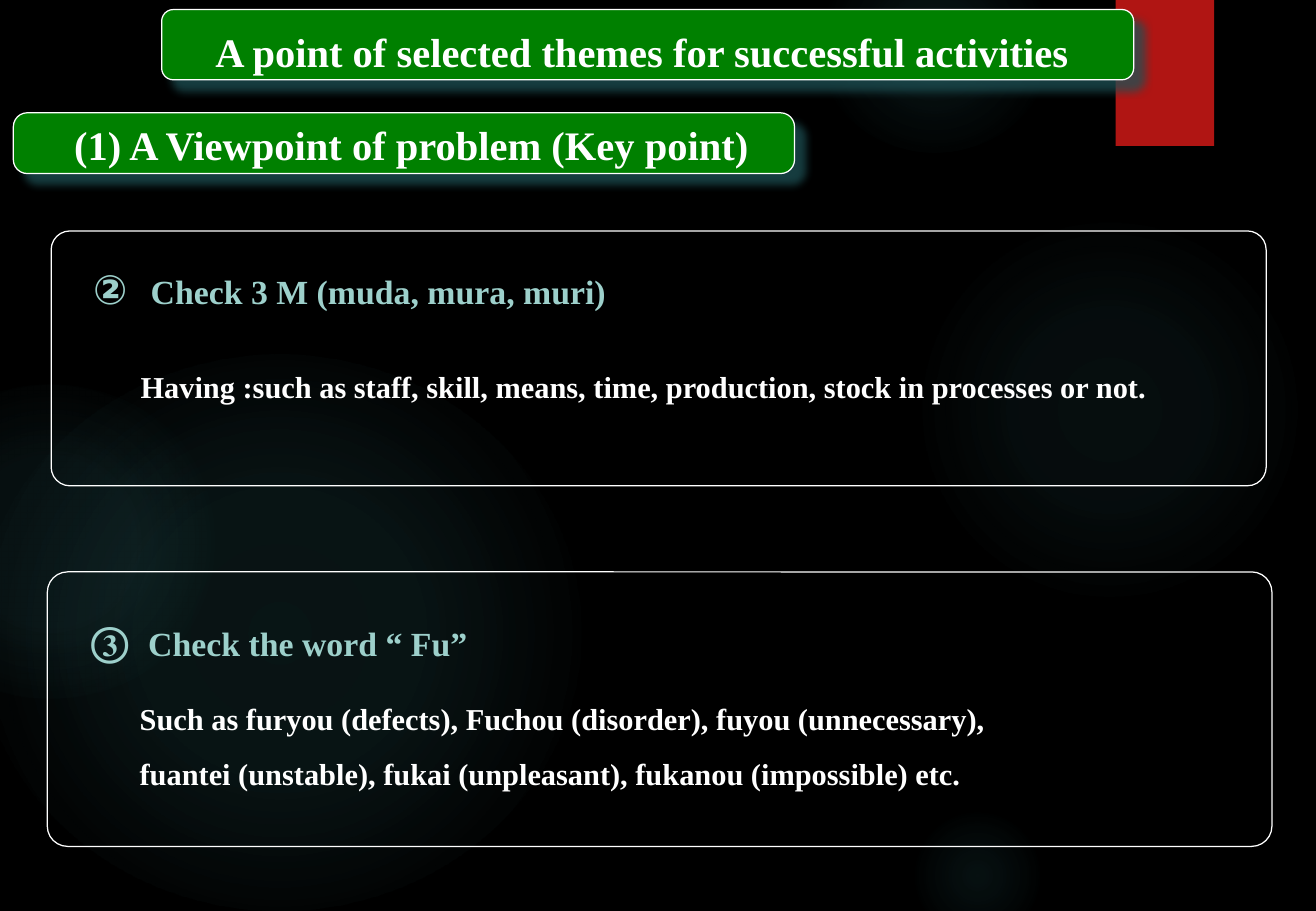
from pptx import Presentation
from pptx import oxml, util as u
from pptx.dml import color
from pptx.enum import shapes, text
from pptx.oxml import ns

FONT = "Times New Roman"
WHITE = "FFFFFF"
GREEN = "008000"
TEAL = "9DD0CB"
GLOW = "50B9C1"

GLOWS = [
    ((18.95, 4.65, 8.48, 7.82), ((0, 7), (36, 6), (69, 0))),
    ((17.12, -1.27, 4.83, 4.45), ((0, 14), (36, 7), (73, 0))),
    ((18.95, 16.94, 2.97, 2.74), ((0, 9), (36, 5), (66, 0))),
    ((-0.46, 7.42, 12.62, 11.63), ((0, 11), (36, 10), (75, 0))),
    ((-2.51, 8.05, 7.11, 6.55), ((0, 8), (36, 8), (72, 0))),
]

PANELS = [
    ((1.07, 4.83, 25.4, 5.33), (1.7, 4.89, 11.94, 1.78),
     (2.69, 6.22, 22.05, 3.71),
     "②", "Arial", "Check 3 M (muda, mura, muri)",
     ["Having :such as staff, skill, means, time, production, "
      "stock in processes or not."]),
    ((0.99, 11.96, 25.6, 5.74), (1.65, 12.24, 16.1, 1.78),
     (2.67, 13.74, 22.81, 3.71),
     "③", FONT, "Check the word “ Fu”",
     ["Such as furyou (defects), Fuchou (disorder), fuyou (unnecessary),",
      "fuantei (unstable), fukai (unpleasant), fukanou (impossible) etc."]),
]


def rgb(code):
    return color.RGBColor.from_string(code)


def place(box):
    return [u.Cm(n) for n in box]


def node(xml):
    return oxml.parse_xml(xml.replace(" ", f" {ns.nsdecls('a')} ", 1))


def add_form(slide, kind, box, fill=None, line=None, round_=None):
    form = slide.shapes.add_shape(kind, *place(box))
    form.shadow.inherit = False
    if round_ is not None:
        form.adjustments[0] = round_
    if fill:
        form.fill.solid()
        form.fill.fore_color.rgb = rgb(fill)
    else:
        form.fill.background()
    if line:
        form.line.color.rgb = rgb(line)
        form.line.width = u.Pt(0.75)
    else:
        form.line.fill.background()
    return form


def add_shade(form, tone, alpha, blur, dist, angle):
    form.element.spPr.find(ns.qn("a:effectLst")).append(node(
        f'<a:outerShdw blurRad="{u.Pt(blur)}" dist="{u.Pt(dist)}" '
        f'dir="{angle * 60000}" algn="tl" rotWithShape="0">'
        f'<a:srgbClr val="{tone}"><a:alpha val="{alpha * 1000}"/>'
        '</a:srgbClr></a:outerShdw>'))


def add_glow(slide, box, stops):
    disc = add_form(slide, shapes.MSO_SHAPE.OVAL, box)
    marks = "".join(
        f'<a:gs pos="{pos * 1000}"><a:srgbClr val="{GLOW}">'
        f'<a:alpha val="{alpha * 1000}"/></a:srgbClr></a:gs>'
        for pos, alpha in stops)
    props = disc.element.spPr
    props.replace(props.find(ns.qn("a:noFill")), node(
        f'<a:gradFill rotWithShape="1"><a:gsLst>{marks}</a:gsLst>'
        '<a:path path="circle"><a:fillToRect l="50000" t="50000" '
        'r="50000" b="50000"/></a:path></a:gradFill>'))


def add_bar(slide, box, round_):
    bar = add_form(slide, shapes.MSO_SHAPE.ROUNDED_RECTANGLE, box,
                   GREEN, WHITE, round_)
    add_shade(bar, "1E5155", 75, 5, 8.5, 45)
    return bar


def style(run, size, tone=WHITE, face=FONT):
    run.font.size = u.Pt(size)
    run.font.name = face
    run.font.bold = True
    run.font.color.rgb = rgb(tone)


def set_frame(frame, anchor=text.MSO_ANCHOR.MIDDLE):
    frame.word_wrap = True
    frame.auto_size = text.MSO_AUTO_SIZE.NONE
    frame.vertical_anchor = anchor


def add_box(slide, box, lines, size, align=text.PP_ALIGN.LEFT, gap=0):
    frame = slide.shapes.add_textbox(*place(box)).text_frame
    set_frame(frame)
    frame.text = "\n".join(lines)
    for i, para in enumerate(frame.paragraphs):
        para.alignment = align
        if i:
            para.space_before = u.Pt(gap)
        style(para.runs[0], size)


def add_head(slide, box, mark, face, label):
    frame = slide.shapes.add_textbox(*place(box)).text_frame
    set_frame(frame)
    para = frame.paragraphs[0]
    para.line_spacing = 1.5
    para._p.get_or_add_pPr().append(node(
        f'<a:tabLst ><a:tab pos="{u.Cm(1.2)}" algn="l"/></a:tabLst>'))
    for words, size, name in ((mark, 24, face), ("\t" + label, 20, FONT)):
        run = para.add_run()
        run.text = words
        style(run, size, TEAL, name)


def add_panel(slide, frame, head, body, mark, face, label, lines):
    add_form(slide, shapes.MSO_SHAPE.ROUNDED_RECTANGLE, frame,
             line=WHITE, round_=0.074)
    add_head(slide, head, mark, face, label)
    add_box(slide, body, lines, 18, gap=10.7)


def set_title(slide, box, words):
    bar = add_bar(slide, (3.38, 0.2, 20.32, 1.47), 0.167)
    title = slide.shapes.title
    title.left, title.top, title.width, title.height = place(box)
    set_frame(title.text_frame)
    title.text_frame.text = words
    para = title.text_frame.paragraphs[0]
    para.alignment = text.PP_ALIGN.CENTER
    style(para.runs[0], 24)
    bar.element.addnext(title.element)


def main():
    deck = Presentation()
    deck.slide_width, deck.slide_height = u.Cm(27.51), u.Cm(19.05)
    slide = deck.slides.add_slide(deck.slide_layouts[5])
    slide.background.fill.solid()
    slide.background.fill.fore_color.rgb = rgb("000000")

    for box, stops in GLOWS:
        add_glow(slide, box, stops)
    flag = add_form(slide, shapes.MSO_SHAPE.RECTANGLE,
                    (23.32, 0, 2.06, 3.05), "B01513")
    add_shade(flag, "000000", 45, 3, 2, 90)

    for panel in PANELS:
        add_panel(slide, *panel)

    set_title(slide, (3.26, 0.33, 20.32, 1.47),
              "A point of selected themes for successful activities")
    add_bar(slide, (0.28, 2.36, 16.33, 1.27), 0.229)
    add_box(slide, (0.23, 2.38, 16.74, 1.27),
            ["(1) A Viewpoint of problem (Key point)"], 24,
            text.PP_ALIGN.CENTER)
    deck.save("out.pptx")


if __name__ == "__main__":
    main()
